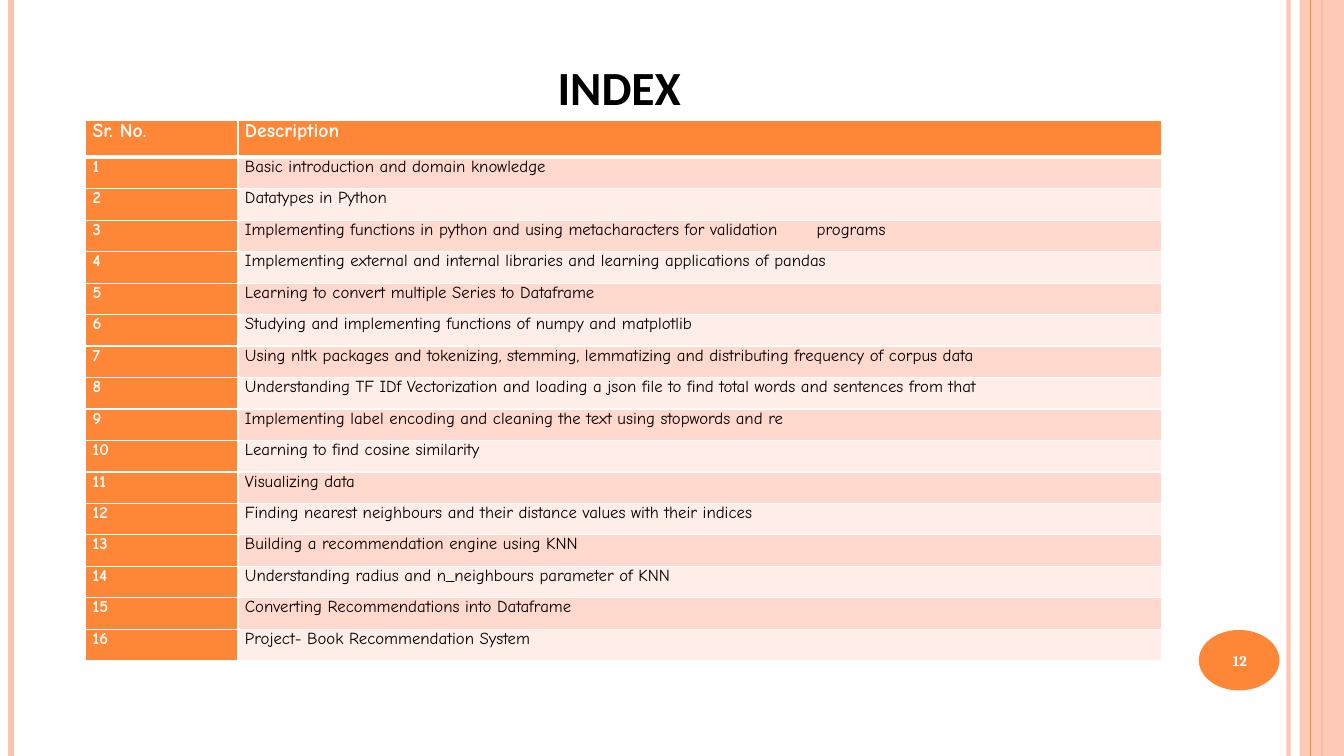
from dataclasses import dataclass
from typing import Any

from lxml import etree
from pptx import Presentation
from pptx.dml.color import RGBColor
from pptx.enum import shapes, text
from pptx.oxml import ns
from pptx.util import Inches, Pt


@dataclass(frozen=True)
class Theme:
    main: str = "FE8637"
    pale: str = "FEC3AE"
    odd: str = "FFD9CE"
    even: str = "FFEDE8"
    white: str = "FFFFFF"
    black: str = "000000"
    sans: str = "Calibri"
    serif: str = "Cambria"
    hand: str = "Comic Neue"
    title: float = 34
    head: float = 14
    body: float = 12
    page: float = 10.5


@dataclass(frozen=True)
class Rule:
    x: float
    color: str
    width: float
    alpha: int = 100


THEME = Theme()
RULES = [
    Rule(12.78, THEME.pale, 3, 93),
    Rule(0.11, THEME.pale, 4.5),
    Rule(13.11, THEME.main, 1.5),
    Rule(13, THEME.main, 0.75),
]
HEADS = ["Sr. No.", "Description"]
TOPICS = [
    "Basic introduction and domain knowledge",
    "Datatypes in Python",
    "Implementing functions in python and using metacharacters for validation\tprograms",
    "Implementing external and internal libraries and learning applications of pandas",
    "Learning to convert multiple Series to Dataframe",
    "Studying and implementing functions of numpy and matplotlib",
    "Using nltk packages and tokenizing, stemming, lemmatizing and distributing frequency of corpus data",
    "Understanding TF IDf Vectorization and loading a json file to find total words and sentences from that",
    "Implementing label encoding and cleaning the text using stopwords and re",
    "Learning to find cosine similarity",
    "Visualizing data",
    "Finding nearest neighbours and their distance values with their indices",
    "Building a recommendation engine using KNN",
    "Understanding radius and n_neighbours parameter of KNN",
    "Converting Recommendations into Dataframe",
    "Project- Book Recommendation System",
]


def rgb(color: str) -> RGBColor:
    return RGBColor.from_string(color)


def assign(obj: Any, **values: Any) -> None:
    for name, value in values.items():
        setattr(obj, name, value)


def fade(fill: Any, alpha: int) -> None:
    color = fill.find(".//" + ns.qn("a:srgbClr"))
    etree.SubElement(color, ns.qn("a:alpha"), val=str(alpha * 1000))


def write(frame: Any, words: str, size: float, font: str, color: str,
          bold: bool = True, align: Any = text.PP_ALIGN.JUSTIFY) -> None:
    para = frame.paragraphs[0]
    para.text = words
    assign(para, alignment=align, space_before=Pt(0))
    if "\t" in words:
        tabs = etree.SubElement(para._p.get_or_add_pPr(), ns.qn("a:tabLst"))
        etree.SubElement(tabs, ns.qn("a:tab"), pos=str(Inches(5.67)), algn="l")
    assign(para.runs[0].font, size=Pt(size), name=font, bold=bold)
    para.runs[0].font.color.rgb = rgb(color)


def draw_rule(slide: Any, rule: Rule) -> None:
    x = Inches(rule.x)
    line = slide.shapes.add_connector(
        shapes.MSO_CONNECTOR.STRAIGHT, x, 0, x, Inches(7.5))
    line.line.color.rgb = rgb(rule.color)
    line.line.width = Pt(rule.width)
    props = line._element.spPr
    if rule.alpha < 100:
        fade(props, rule.alpha)
    etree.SubElement(props, ns.qn("a:effectLst"))


def draw_shape(slide: Any, kind: Any, box: tuple, color: str) -> Any:
    shape = slide.shapes.add_shape(kind, *map(Inches, box))
    shape.shadow.inherit = False
    shape.fill.solid()
    shape.fill.fore_color.rgb = rgb(color)
    shape.line.fill.background()
    return shape


def edge(cell: Any, sides: dict[str, float]) -> None:
    props = cell._tc.get_or_add_tcPr()
    for spot, (side, width) in enumerate(sides.items()):
        line = etree.Element(ns.qn("a:ln" + side), w=str(Pt(width)))
        fill = etree.SubElement(line, ns.qn("a:solidFill"))
        etree.SubElement(fill, ns.qn("a:srgbClr"), val=THEME.white)
        props.insert(spot, line)


def draw_table(slide: Any) -> None:
    rows = [HEADS] + [[str(n), topic] for n, topic in enumerate(TOPICS, 1)]
    frame = slide.shapes.add_table(len(rows), len(HEADS), Inches(0.85),
                                   Inches(1.19), Inches(10.67), Inches(5.37))
    grid = frame.table
    for col, width in zip(grid.columns, (1.51, 9.16)):
        col.width = Inches(width)
    for r, row in enumerate(rows):
        grid.rows[r].height = Inches(5 / len(TOPICS) if r else 0.37)
        for c, words in enumerate(row):
            cell = grid.cell(r, c)
            assign(cell, margin_left=Inches(0.07), margin_right=Inches(0.07),
                   margin_top=0, margin_bottom=0)
            label = r == 0 or c == 0
            band = THEME.odd if r % 2 else THEME.even
            cell.fill.solid()
            cell.fill.fore_color.rgb = rgb(THEME.main if label else band)
            edge(cell, {"L": 1, "R": 1, "B": 1} if r
                 else {"L": 1, "R": 1, "T": 1, "B": 3})
            write(cell.text_frame, words, THEME.body if r else THEME.head,
                  THEME.hand, THEME.white if label else THEME.black, label)


def main() -> None:
    deck = Presentation()
    assign(deck, slide_width=Inches(13.33), slide_height=Inches(7.5))
    slide = deck.slides.add_slide(deck.slide_layouts[5])

    # Side bands
    for rule in RULES[:3]:
        draw_rule(slide, rule)
    band = draw_shape(slide, shapes.MSO_SHAPE.RECTANGLE,
                      (12.89, 0, 0.44, 7.5), THEME.pale)
    fade(band._element.spPr, 87)
    draw_rule(slide, RULES[3])

    # Page number
    draw_shape(slide, shapes.MSO_SHAPE.OVAL, (11.89, 6.25, 0.8, 0.6), THEME.main)
    page = slide.shapes.add_textbox(*map(Inches, (11.85, 6.27, 0.89, 0.57)))
    assign(page.text_frame, word_wrap=True,
           vertical_anchor=text.MSO_ANCHOR.MIDDLE)
    write(page.text_frame, "12", THEME.page, THEME.serif, THEME.white,
          align=text.PP_ALIGN.CENTER)

    # Title
    title = slide.shapes.title
    assign(title, left=Inches(5.43), top=Inches(0.52),
           width=Inches(4.17), height=Inches(0.67))
    assign(title.text_frame, word_wrap=True, vertical_anchor=text.MSO_ANCHOR.TOP,
           auto_size=text.MSO_AUTO_SIZE.SHAPE_TO_FIT_TEXT)
    write(title.text_frame, "INDEX", THEME.title, THEME.sans, THEME.black)

    # Index table
    draw_table(slide)
    deck.save("out.pptx")


if __name__ == "__main__":
    main()
